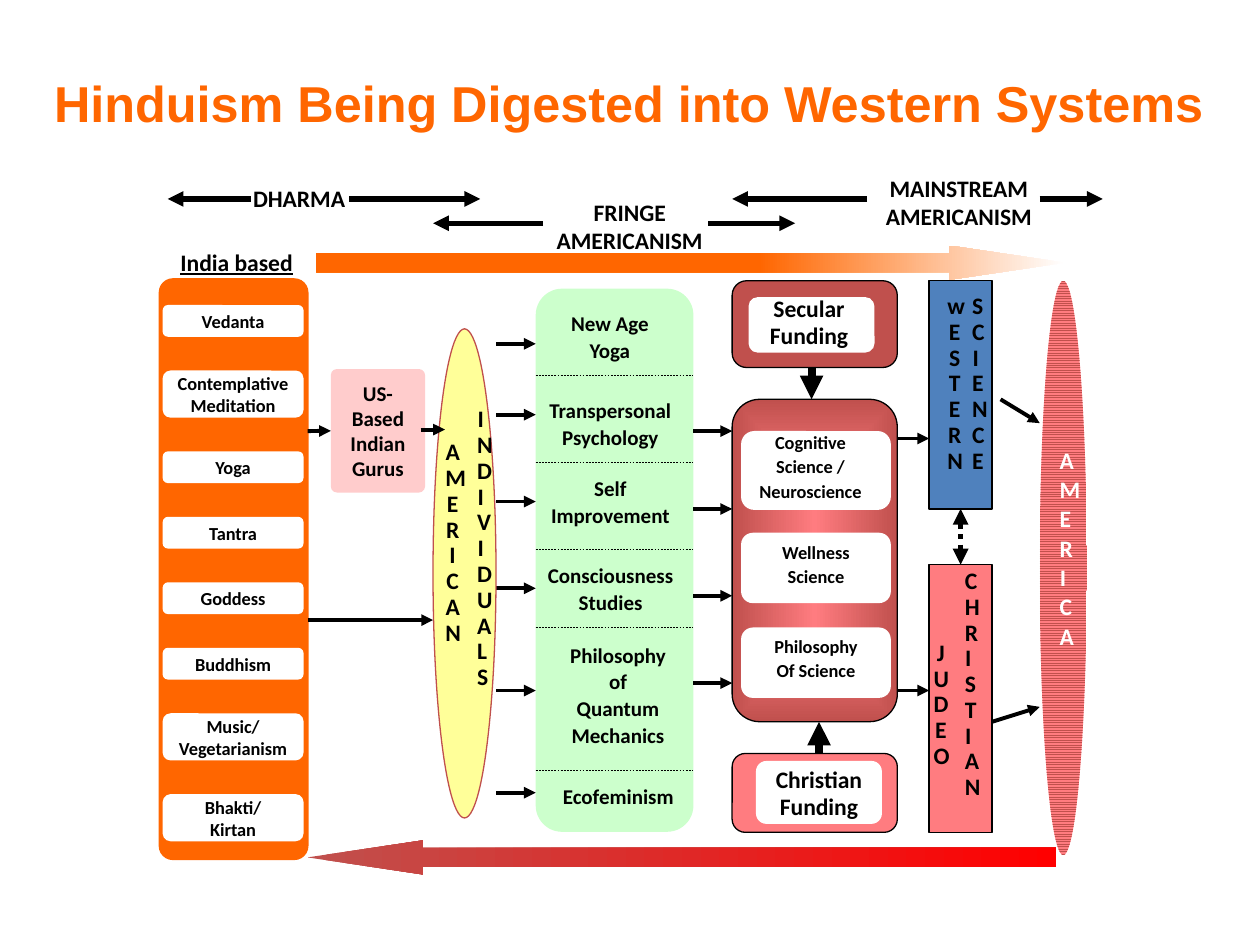
from dataclasses import dataclass

from lxml.etree import SubElement
from pptx import Presentation
from pptx.dml.color import RGBColor
from pptx.enum.dml import MSO_LINE, MSO_PATTERN
from pptx.enum.shapes import MSO_CONNECTOR, MSO_SHAPE
from pptx.enum.text import MSO_ANCHOR, PP_ALIGN
from pptx.oxml.ns import qn
from pptx.util import Cm, Pt


@dataclass(frozen=True)
class Theme:
    black: str = "000000"
    white: str = "FFFFFF"
    orange: str = "FF6600"
    pink: str = "FFCCCC"
    yellow: str = "FFFF99"
    green: str = "CCFFCC"
    blue: str = "4F81BD"
    brick: str = "C0504D"
    salmon: str = "FF7C80"
    red: str = "FF0000"
    heading_font: str = "Arial"
    body_font: str = "Calibri"
    title: float = 28.8
    label: float = 13.5
    topic: float = 12
    item: float = 10.5


THEME = Theme()


def rgb(color):
    return RGBColor.from_string(color)


def write(shape, lines, size, color=THEME.black, font=THEME.body_font, align=PP_ALIGN.CENTER,
          anchor=MSO_ANCHOR.MIDDLE, wrap=True, leading=None, before=0.49, underline=None):
    frame = shape.text_frame
    frame.word_wrap = wrap
    frame.vertical_anchor = anchor
    frame.text = "\n".join(lines)
    for paragraph in frame.paragraphs:
        paragraph.alignment = align
        paragraph.font.name = font
        paragraph.font.size = Pt(size)
        paragraph.font.bold = True
        paragraph.font.underline = underline
        paragraph.font.color.rgb = rgb(color)
        if leading:
            paragraph.line_spacing = leading
            paragraph.space_before = Pt(round(before * size, 2))


def add_text(slide, box, lines, size, **style):
    shape = slide.shapes.add_textbox(*map(Cm, box))
    write(shape, lines, size, **style)
    return shape


def add_letters(slide, box, word, **style):
    add_text(slide, box, list(word), THEME.label, leading=0.5, **style)


def add_topic(slide, box, lines, size=THEME.topic, leading=0.65):
    add_text(slide, box, lines, size, anchor=MSO_ANCHOR.TOP, leading=leading)


def add_block(slide, kind, box, fill=None, outline=None, adjustments=()):
    shape = slide.shapes.add_shape(kind, *map(Cm, box))
    shape.shadow.inherit = False
    for index, value in enumerate(adjustments):
        shape.adjustments[index] = value
    if fill:
        shape.fill.solid()
        shape.fill.fore_color.rgb = rgb(fill)
    if outline:
        shape.line.color.rgb = rgb(outline)
        shape.line.width = Pt(0.75)
    else:
        shape.line.fill.background()
    return shape


def add_rounded(slide, box, fill=THEME.white, outline=None, corner=0.167):
    return add_block(slide, MSO_SHAPE.ROUNDED_RECTANGLE, box, fill, outline, [corner])


def shade(shape, stops):
    shape.fill.gradient()
    shape.fill.gradient_angle = 0
    for stop, (position, color) in zip(shape.fill.gradient_stops, stops):
        stop.position = position
        stop.color.rgb = rgb(color)


def shade_from_center(shape, stops):
    shade(shape, stops)
    gradient = shape._element.spPr.find(qn("a:gradFill"))
    gradient.remove(gradient.find(qn("a:lin")))
    path = SubElement(gradient, qn("a:path"), path="shape")
    SubElement(path, qn("a:fillToRect"), l="50000", t="50000", r="50000", b="50000")


def add_line(slide, start, end, width=2.25, dash=None, heads=("tailEnd",)):
    line = slide.shapes.add_connector(MSO_CONNECTOR.STRAIGHT, *map(Cm, start + end))
    line.line.color.rgb = rgb(THEME.black)
    line.line.width = Pt(width)
    if dash:
        line.line.dash_style = dash
    properties = line._element.spPr
    for head in heads:
        SubElement(properties.find(qn("a:ln")), qn(f"a:{head}"), type="triangle")
    SubElement(properties, qn("a:effectLst"))
    return line


def add_arrow_column(slide, left, right, heights):
    for y in heights:
        add_line(slide, (left, y), (right, y))


def add_block_arrow(slide, box, stops):
    arrow = add_block(slide, MSO_SHAPE.LEFT_ARROW, box, adjustments=[0.556, 3.371])
    shade(arrow, stops)
    return arrow


def add_spans(slide):
    spans = [
        ("DHARMA", (4.67, 3.58, 2.72, 0.84), 4.01, (5.05, 3.38), (7.04, 9.68)),
        ("FRINGE AMERICANISM", (10.64, 3.86, 4.11, 1.42), 4.5, (10.95, 8.73), (14.28, 16.03)),
        ("MAINSTREAM AMERICANISM", (17.3, 3.38, 4.06, 1.42), 4.01, (17.48, 14.76), (20.96, 22.23)),
    ]
    for label, box, y, *arrows in spans:
        add_text(slide, box, [label], THEME.label, anchor=MSO_ANCHOR.TOP)
        for start, end in arrows:
            add_line(slide, (start, y), (end, y), 3)


def add_traditions(slide):
    add_rounded(slide, (3.2, 5.61, 3.02, 11.73), THEME.orange, corner=0.095)
    traditions = [["Vedanta"], ["Contemplative", "Meditation"], ["Yoga"], ["Tantra"],
                  ["Goddess"], ["Buddhism"], ["Music/", "Vegetarianism"], ["Bhakti/", "Kirtan"]]
    top, gap = 6.15, 0.68
    for lines in traditions:
        height = 0.64 if len(lines) == 1 else 0.95
        write(add_rounded(slide, (3.28, top, 2.84, height)), lines, THEME.item, wrap=False)
        top += height + gap
    add_text(slide, (3.18, 4.88, 3.18, 0.84), ["India based"], THEME.label,
             anchor=MSO_ANCHOR.TOP, underline=True)


def add_individuals(slide):
    gurus = add_rounded(slide, (6.67, 7.44, 1.9, 2.49), THEME.pink, corner=0.065)
    write(gurus, ["US-Based", "Indian", "Gurus"], THEME.topic)
    add_block(slide, MSO_SHAPE.OVAL, (8.73, 6.63, 1.27, 9.86), THEME.yellow, THEME.brick)
    add_letters(slide, (8.73, 8.74, 0.79, 4.57), "AMERICAN")
    add_letters(slide, (9.37, 7.98, 0.64, 6.32), "INDIVIDUALS")
    add_line(slide, (6.2, 8.69), (6.67, 8.69)).end_connect(gurus, 1)
    add_line(slide, (6.2, 12.5), (8.73, 12.5))
    add_line(slide, (8.48, 8.66), (8.97, 8.66))


def add_fringe(slide):
    add_rounded(slide, (10.8, 5.82, 3.18, 10.95), THEME.green)
    topics = [
        ((10.95, 6.3, 2.69, 1.17), ["New Age", "Yoga"]),
        ((10.64, 8.05, 3.33, 1.52), ["Transpersonal", "Psychology"]),
        ((10.64, 9.63, 3.33, 1.17), ["Self", "Improvement"]),
        ((10.48, 11.38, 3.66, 1.17), ["Consciousness", "Studies"]),
        ((10.95, 12.98, 3.02, 2.36), ["Philosophy", "of", "Quantum", "Mechanics"]),
        ((10.8, 15.82, 3.33, 0.58), ["Ecofeminism"]),
    ]
    for box, lines in topics:
        add_topic(slide, box, lines)
    for y in (7.57, 9.32, 11.07, 12.65, 15.52):
        add_line(slide, (10.8, y), (13.97, y), 0.25, MSO_LINE.DASH, heads=())
    add_arrow_column(slide, 10, 10.8, (6.93, 8.36, 10.11, 11.86, 13.92, 15.98))


def add_funding_and_sciences(slide):
    funding = [
        (THEME.brick, (14.76, 5.66, 3.33, 1.75), (15.09, 5.99, 2.54, 1.12),
         (15.04, 6.02, 2.54, 1.17), "Secular"),
        (THEME.salmon, (14.76, 15.19, 3.33, 1.59), (15.24, 15.34, 2.54, 1.27),
         (15.24, 15.52, 2.54, 1.5), "Christian"),
    ]
    for color, frame, card, label, source in funding:
        add_rounded(slide, frame, color, THEME.black)
        add_rounded(slide, card)
        add_topic(slide, label, [source, "Funding"], THEME.label, 0.55)
    add_arrow_column(slide, 13.97, 14.76, (8.69, 10.26, 12.01, 13.77))
    add_line(slide, (16.51, 15.19), (16.51, 14.55), 4.5)
    add_line(slide, (16.36, 7.42), (16.36, 8.05), 4.5)
    panel = add_rounded(slide, (14.76, 8.05, 3.33, 6.5), None, THEME.black)
    shade_from_center(panel, [(0, THEME.salmon), (1, THEME.brick)])
    sciences = [
        (8.69, 1.59, (14.83, 8.69, 3.02, 1.65), ["Cognitive", "Science /", "Neuroscience"]),
        (10.74, 1.42, (14.94, 10.9, 3.02, 1.12), ["Wellness", "Science"]),
        (12.65, 1.42, (14.94, 12.8, 3.02, 1.12), ["Philosophy", "Of Science"]),
    ]
    for top, height, label, lines in sciences:
        add_rounded(slide, (14.94, top, 3.02, height))
        add_topic(slide, label, lines, THEME.item, 0.7)


def add_mainstream(slide):
    science = add_block(slide, MSO_SHAPE.RECTANGLE, (18.73, 5.66, 1.27, 4.6), THEME.blue, THEME.black)
    religion = add_block(slide, MSO_SHAPE.RECTANGLE, (18.73, 11.38, 1.27, 5.4), THEME.salmon, THEME.black)
    for box, word in [((18.85, 5.99, 0.79, 4.01), "wESTERN"), ((19.35, 5.99, 0.64, 4.01), "SCIENCE"),
                      ((18.57, 12.98, 0.79, 2.84), "JUDEO"), ((19.2, 11.53, 0.64, 5.16), "CHRISTIAN")]:
        add_letters(slide, box, word, anchor=MSO_ANCHOR.TOP)
    america = add_block(slide, MSO_SHAPE.OVAL, (20.96, 5.66, 0.95, 11.58))
    america.fill.patterned()
    america.fill.pattern = MSO_PATTERN.NARROW_HORIZONTAL
    america.fill.fore_color.rgb = rgb(THEME.brick)
    america.fill.back_color.rgb = rgb(THEME.salmon)
    add_letters(slide, (21.11, 8.89, 0.64, 4.52), "AMERICA", color=THEME.white, before=0.64)
    add_arrow_column(slide, 18.1, 18.73, (8.84, 13.92))
    add_line(slide, (20.17, 8.05), (20.96, 8.53))
    add_line(slide, (20, 14.55), (20.96, 14.25))
    exchange = add_line(slide, (19.37, 10.26), (19.37, 11.38), 3, MSO_LINE.ROUND_DOT, ("headEnd", "tailEnd"))
    exchange.begin_connect(science, 2)
    exchange.end_connect(religion, 0)


def main():
    presentation = Presentation()
    presentation.slide_width, presentation.slide_height = Cm(25.4), Cm(19.05)
    slide = presentation.slides.add_slide(presentation.slide_layouts[6])
    add_text(slide, (0.84, 0.76, 23.93, 2.62), ["Hinduism Being Digested into Western Systems"],
             THEME.title, color=THEME.orange, font=THEME.heading_font, align=PP_ALIGN.LEFT)
    add_traditions(slide)
    add_fringe(slide)
    add_individuals(slide)
    add_block_arrow(slide, (6.2, 16.94, 15.09, 0.69), [(0, THEME.brick), (1, THEME.red)])
    add_spans(slide)
    add_mainstream(slide)
    add_funding_and_sciences(slide)
    outward = add_block_arrow(slide, (6.38, 4.95, 15.09, 0.69), [(0, THEME.white), (0.41, THEME.orange)])
    outward.rotation = 180
    presentation.save("out.pptx")


if __name__ == "__main__":
    main()
